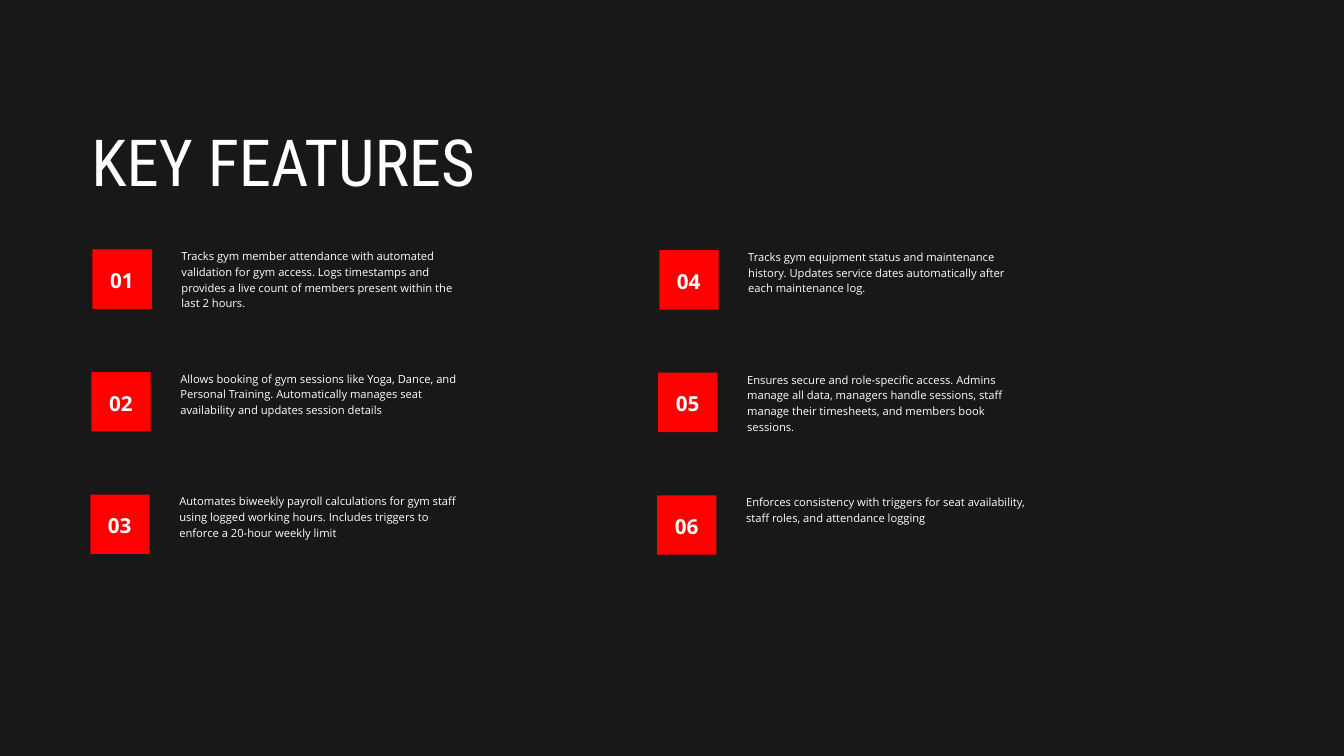
from pptx import Presentation
from pptx.dml.color import RGBColor
from pptx.enum.shapes import MSO_SHAPE
from pptx.enum.text import PP_ALIGN
from pptx.util import Pt

hues = {"back": "191818", "box": "FF0000", "text": "FFFFFF"}
fonts = {
    "title": {"name": "Roboto Condensed", "size": Pt(69.5), "bold": False},
    "label": {"name": "Open Sans", "size": Pt(22.1), "bold": True},
    "body": {"name": "Open Sans", "size": Pt(12), "bold": False},
}
paras = {
    "title": {"line_spacing": Pt(66.7), "alignment": PP_ALIGN.LEFT},
    "label": {"line_spacing": Pt(31), "alignment": PP_ALIGN.CENTER},
    "body": {"line_spacing": Pt(16.8), "alignment": PP_ALIGN.LEFT},
}
frames = {
    "margin_left": 0, "margin_right": 0, "margin_top": 0,
    "margin_bottom": 0, "word_wrap": True,
}
items = [
    "Tracks gym member attendance with automated validation for gym access. "
    "Logs timestamps and provides a live count of members present within the last 2 hours.",
    "Allows booking of gym sessions like Yoga, Dance, and Personal Training. "
    "Automatically manages seat availability and updates session details",
    "Automates biweekly payroll calculations for gym staff using logged working hours. "
    "Includes triggers to enforce a 20-hour weekly limit",
    "Tracks gym equipment status and maintenance history. "
    "Updates service dates automatically after each maintenance log.",
    "Ensures secure and role-specific access. Admins manage all data, managers handle "
    "sessions, staff manage their timesheets, and members book sessions.",
    "Enforces consistency with triggers for seat availability, staff roles, "
    "and attendance logging",
]

deck = Presentation()
deck.slide_width, deck.slide_height = Pt(1440), Pt(810)
slide = deck.slides.add_slide(deck.slide_layouts[6])
slide.background.fill.solid()
slide.background.fill.fore_color.rgb = RGBColor.from_string(hues["back"])


def write(kind, text, left, top, width, height):
    frame = slide.shapes.add_textbox(Pt(left), Pt(top), Pt(width), Pt(height)).text_frame
    para = frame.paragraphs[0]
    run = para.add_run()
    run.text = text
    run.font.color.rgb = RGBColor.from_string(hues["text"])
    for target, values in ((frame, frames), (para, paras[kind]), (run.font, fonts[kind])):
        for key, value in values.items():
            setattr(target, key, value)


write("title", "KEY FEATURES", 97.9, 146.9, 432.7, 81.4)

for place, text in enumerate(items):
    col, row = divmod(place, 3)
    left = 99.1 + 607.3 * col - 1.15 * row
    top = 267.3 + 131.3 * row + 0.8 * col
    box = slide.shapes.add_shape(MSO_SHAPE.RECTANGLE, Pt(left), Pt(top), Pt(63.6), Pt(63.6))
    box.shadow.inherit = False
    box.fill.solid()
    box.fill.fore_color.rgb = RGBColor.from_string(hues["box"])
    box.line.fill.background()
    write("label", f"{place + 1:02}", left + 9.9, top + 15.4, 43.2, 29.5)
    write("body", text, left + 95.3, top - 2.3, 302.4, 64.8)

deck.save("out.pptx")
